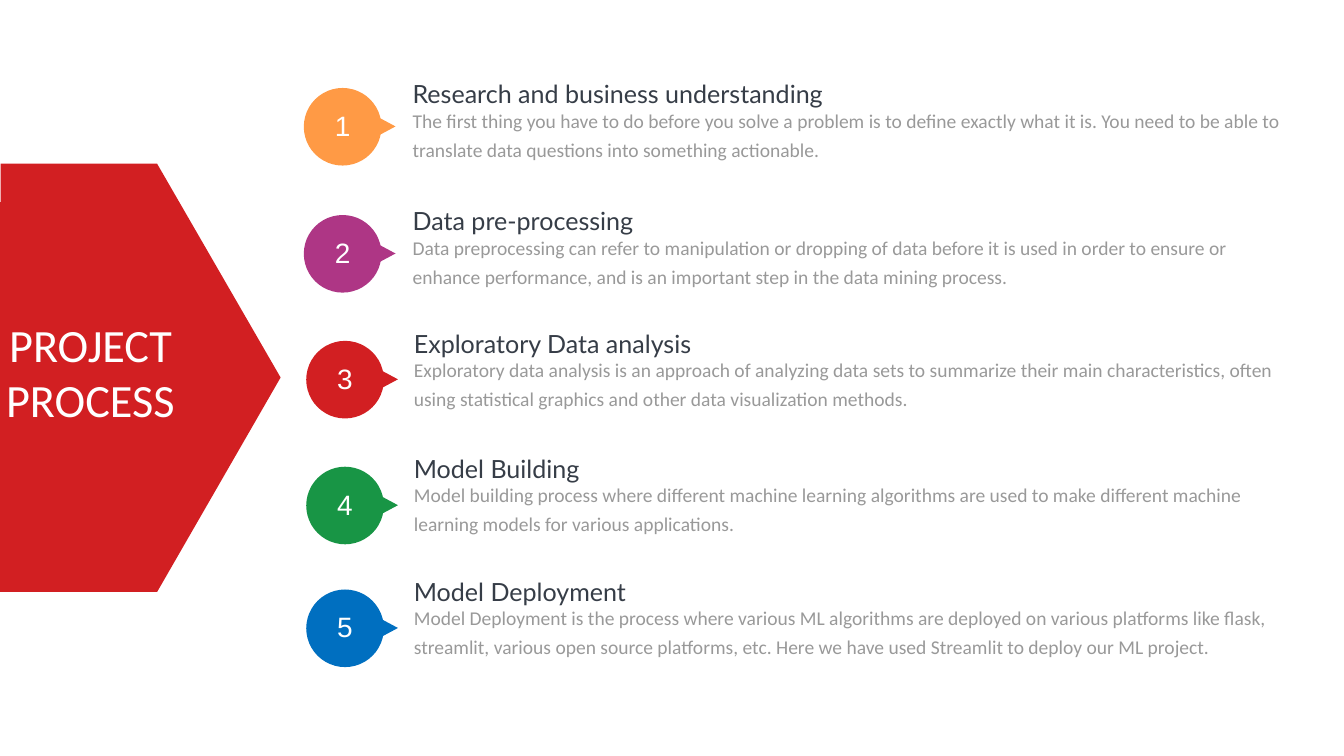
import dataclasses

import pptx
import pptx.dml.color
import pptx.enum.shapes
import pptx.enum.text
import pptx.util

SLIDE_WIDTH, SLIDE_HEIGHT = pptx.util.Pt(1583), pptx.util.Pt(891)
CELL = pptx.util.Inches(0.01)
BADGE_SIZE = 127
TAIL_LEFT, TAIL_WIDTH, TAIL_HEIGHT = 122, 28, 30
BODY_HEIGHT = 138

COLORS = {
    "orange": "FF9A45",
    "purple": "AE3685",
    "red": "D21F22",
    "green": "189545",
    "blue": "006FC0",
    "white": "FFFFFF",
    "heading": "363D47",
    "detail": "999999",
}


@dataclasses.dataclass(frozen=True)
class TextStyle:
    font: str
    size: float
    color: str
    space_before: float = 0
    alignment: pptx.enum.text.PP_ALIGN = pptx.enum.text.PP_ALIGN.LEFT
    indent: int = 0


@dataclasses.dataclass(frozen=True)
class Step:
    color: str
    badge_column: int
    badge_row: int
    body_column: int
    body_row: int
    body_width: int
    lines: tuple[str, str, str]


TITLE = TextStyle("Calibri", 54.5, "white", 0.9, indent=5)
NUMBER = TextStyle("Arial", 33, "white", alignment=pptx.enum.text.PP_ALIGN.CENTER)
BODY_STYLES = (
    TextStyle("Lato", 29.5, "heading", 1.1),
    TextStyle("Calibri", 23, "detail", 0.1),
    TextStyle("Calibri", 23, "detail", 6.2),
)

STEPS = (
    Step("orange", 497, 144, 675, 128, 1426, (
        "Research and business understanding",
        "The first thing you have to do before you solve a problem is to define exactly what it is. You need to be able to",
        "translate data questions into something actionable.",
    )),
    Step("purple", 497, 352, 675, 336, 1339, (
        "Data pre-processing",
        "Data preprocessing can refer to manipulation or dropping of data before it is used in order to ensure or",
        "enhance performance, and is an important step in the data mining process.",
    )),
    Step("red", 501, 558, 677, 536, 1413, (
        "Exploratory Data analysis",
        "Exploratory data analysis is an approach of analyzing data sets to summarize their main characteristics, often",
        "using statistical graphics and other data visualization methods.",
    )),
    Step("green", 501, 764, 677, 741, 1362, (
        "Model Building",
        "Model building process where different machine learning algorithms are used to make different machine",
        "learning models for various applications.",
    )),
    Step("blue", 501, 965, 677, 942, 1402, (
        "Model Deployment",
        "Model Deployment is the process where various ML algorithms are deployed on various platforms like flask,",
        "streamlit, various open source platforms, etc. Here we have used Streamlit to deploy our ML project.",
    )),
)


def apply(target: object, values: dict) -> None:
    for name, value in values.items():
        setattr(target, name, value)


def grid_box(column: int, row: int, width: int, height: int) -> tuple:
    return tuple(CELL * cells for cells in (column, row, width, height))


def paint(shape, color: str) -> None:
    shape.shadow.inherit = False
    shape.fill.solid()
    shape.fill.fore_color.rgb = pptx.dml.color.RGBColor.from_string(COLORS[color])
    shape.line.fill.background()


def add_polygon(slide, points: list[tuple[int, int]], color: str):
    builder = slide.shapes.build_freeform(*points[0], scale=CELL)
    builder.add_line_segments(points[1:], close=True)
    shape = builder.convert_to_shape()
    paint(shape, color)
    return shape


def write(text_frame, lines: tuple[str, ...], styles: tuple[TextStyle, ...],
          anchor: pptx.enum.text.MSO_ANCHOR, margin_top: int = 0,
          margin_bottom: int = 0) -> None:
    apply(text_frame, {
        "text": "\n".join(lines),
        "word_wrap": True,
        "auto_size": pptx.enum.text.MSO_AUTO_SIZE.NONE,
        "vertical_anchor": anchor,
        "margin_left": 0,
        "margin_right": 0,
        "margin_top": CELL * margin_top,
        "margin_bottom": CELL * margin_bottom,
    })
    for paragraph, style in zip(text_frame.paragraphs, styles):
        apply(paragraph, {
            "alignment": style.alignment,
            "space_before": pptx.util.Pt(style.space_before),
            "line_spacing": 1.0,
        })
        paragraph._p.get_or_add_pPr().set("indent", str(CELL * style.indent))
        font = paragraph.runs[0].font
        apply(font, {"name": style.font, "size": pptx.util.Pt(style.size)})
        font.color.rgb = pptx.dml.color.RGBColor.from_string(COLORS[style.color])


def add_title(slide) -> None:
    arrow = add_polygon(slide, [
        (459, 618), (257, 268), (1, 268), (1, 331), (0, 331), (0, 969), (257, 969),
    ], "red")
    title = slide.shapes.title
    left, top, width, height = grid_box(10, 516, 277, 184)
    apply(title, {"left": left, "top": top, "width": width, "height": height})
    write(title.text_frame, ("PROJECT PROCESS",), (TITLE,),
          pptx.enum.text.MSO_ANCHOR.TOP, margin_top=1)
    arrow.element.addnext(title.element)


def add_step(slide, number: int, step: Step) -> None:
    badge = slide.shapes.add_shape(
        pptx.enum.shapes.MSO_SHAPE.OVAL,
        *grid_box(step.badge_column, step.badge_row, BADGE_SIZE, BADGE_SIZE))
    paint(badge, step.color)
    write(badge.text_frame, (str(number),), (NUMBER,),
          pptx.enum.text.MSO_ANCHOR.MIDDLE, margin_bottom=5)

    left = step.badge_column + TAIL_LEFT
    top = step.badge_row + (BADGE_SIZE - TAIL_HEIGHT) // 2
    add_polygon(slide, [
        (left, top),
        (left, top + TAIL_HEIGHT),
        (left + TAIL_WIDTH, top + TAIL_HEIGHT // 2),
    ], step.color)

    body = slide.shapes.add_textbox(
        *grid_box(step.body_column, step.body_row, step.body_width, BODY_HEIGHT))
    write(body.text_frame, step.lines, BODY_STYLES,
          pptx.enum.text.MSO_ANCHOR.TOP, margin_top=1)


def main() -> None:
    presentation = pptx.Presentation()
    apply(presentation, {"slide_width": SLIDE_WIDTH, "slide_height": SLIDE_HEIGHT})
    slide = presentation.slides.add_slide(presentation.slide_layouts[5])
    add_title(slide)
    for number, step in enumerate(STEPS, start=1):
        add_step(slide, number, step)
    presentation.save("out.pptx")


if __name__ == "__main__":
    main()
